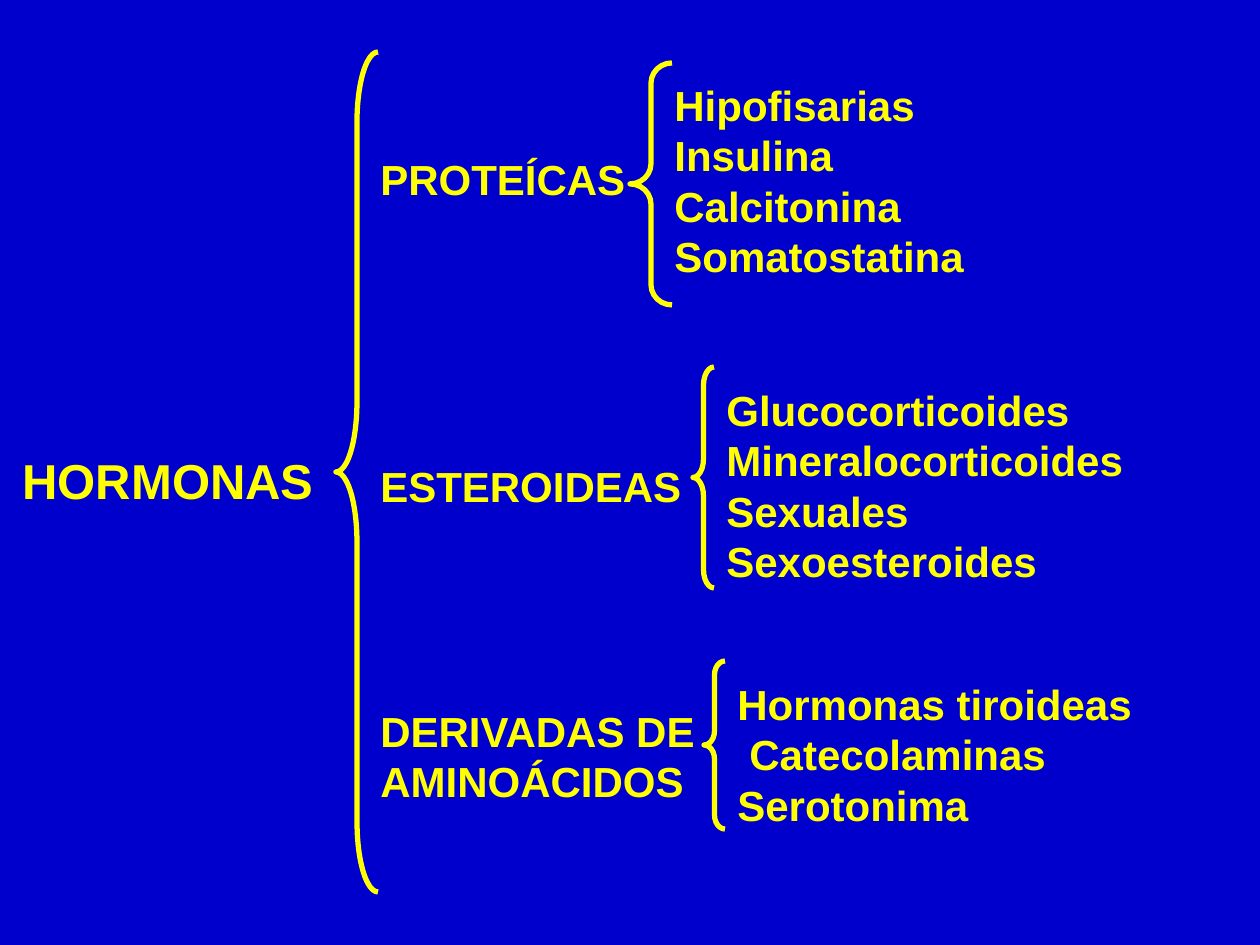
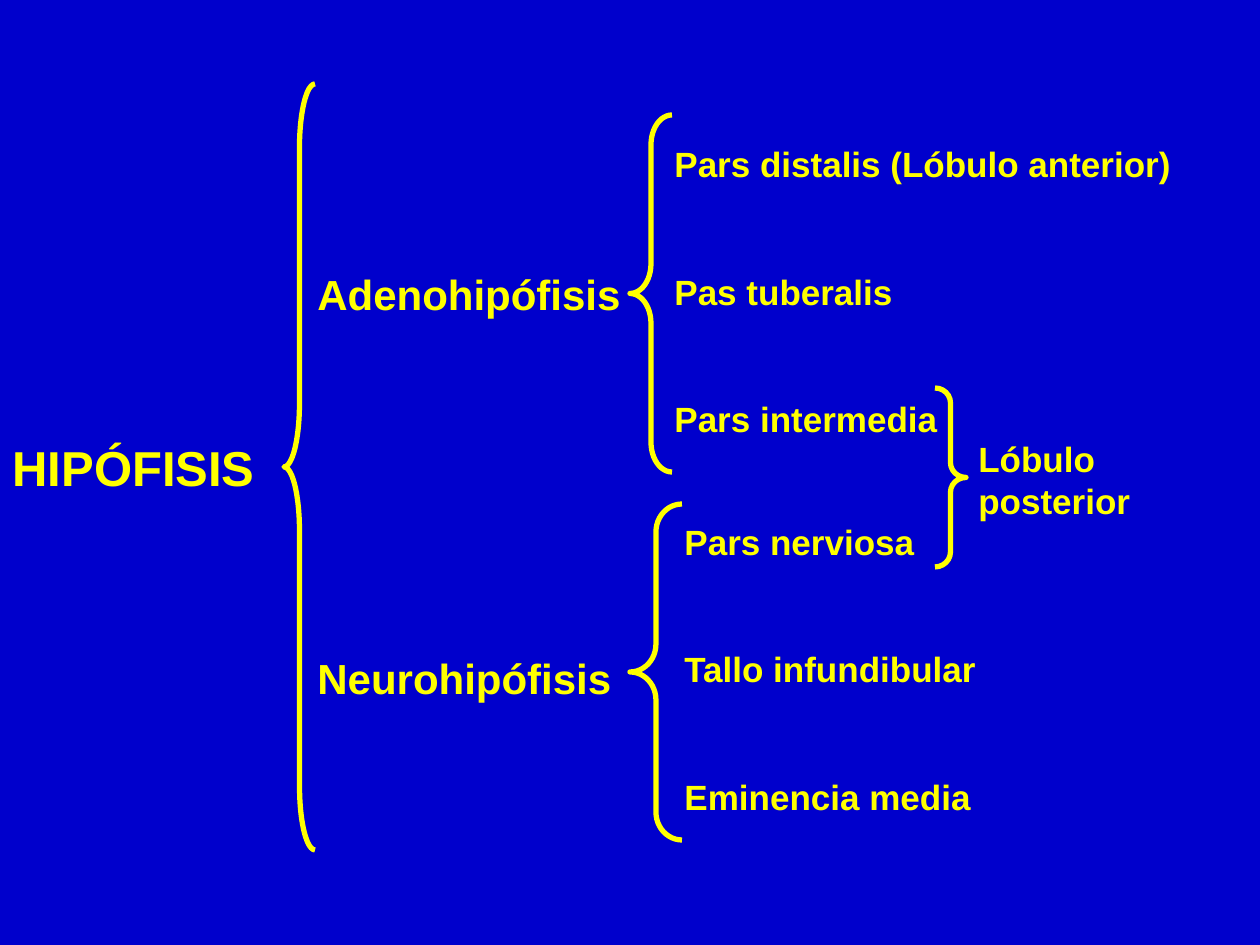
from pptx import Presentation
from pptx.dml.color import RGBColor
from pptx.enum import shapes, text
from pptx import util as u

BLUE = RGBColor(0x00, 0x00, 0xCC)
YELLOW = RGBColor(0xFF, 0xFF, 0x00)
FONT = "Arial"
ROOT, GROUP, ITEM = 28, 24, 20  # text sizes in points
LEADING = 1.2
KIND = shapes.MSO_SHAPE


def px(n):
    return u.Emu(round(n * 914400 / 126))


def place(shape, box):
    for name, value in zip(("left", "top", "width", "height"), box):
        setattr(shape, name, px(value))


def write(shape, lines, size, gap=0, shift=None):
    """Fill a shape with one paragraph per line; shift maps a line to its indent."""
    frame = shape.text_frame
    look = {"word_wrap": True, "auto_size": text.MSO_AUTO_SIZE.NONE,
            "vertical_anchor": text.MSO_ANCHOR.TOP}
    for name, value in look.items():
        setattr(frame, name, value)
    for i, line in enumerate(lines):
        para = frame.add_paragraph() if i else frame.paragraphs[0]
        para.text = line
        flow = {"alignment": text.PP_ALIGN.LEFT, "line_spacing": u.Pt(size * LEADING),
                "space_before": u.Pt(gap if i else 0)}
        for name, value in flow.items():
            setattr(para, name, value)
        if shift and line in shift:
            para._p.get_or_add_pPr().set("marL", str(px(shift[line])))
        for name, value in {"name": FONT, "size": u.Pt(size), "bold": True}.items():
            setattr(para.font, name, value)
        para.font.color.rgb = YELLOW


def label(slide, box, lines, size, **flow):
    write(slide.shapes.add_textbox(*map(px, box)), lines, size, **flow)


def brace(slide, box, kind=KIND.LEFT_BRACE):
    shape = slide.shapes.add_shape(kind, *map(px, box))
    shape.adjustments[0] = box[3] / 12 / box[2]  # each curve is 1/12 of the height
    shape.shadow.inherit = False
    shape.fill.background()
    shape.line.color.rgb = YELLOW
    shape.line.width = u.Pt(3)


def start(deck, name, box, arms):
    """Add a slide with its root term and the main brace."""
    slide = deck.slides.add_slide(deck.slide_layouts[5])
    place(slide.shapes.title, box)
    write(slide.shapes.title, [name], ROOT)
    brace(slide, arms)
    return slide


def branch(slide, name, spot, arms, lines, inset, size, **flow):
    """Add a group name, its brace and its list, set inset from the brace."""
    left, top, width, height = arms
    label(slide, (*spot, 368, 110), [name], GROUP)
    brace(slide, arms)
    dx, dy = inset
    label(slide, (left + dx, top + dy, 598, height - dy), lines, size, **flow)


def hormones(deck):
    slide = start(deck, "HORMONAS", (10, 444, 347, 72), (336, 52, 42, 840))
    groups = [
        ("PROTEÍCAS", 147, (630, 63, 42, 242), (32, 10),
         ["Hipofisarias", "Insulina", "Calcitonina", "Somatostatina"]),
        ("ESTEROIDEAS", 454, (693, 367, 21, 221), (21, 11),
         ["Glucocorticoides", "Mineralocorticoides", "Sexuales", "Sexoesteroides"]),
        ("DERIVADAS DE AMINOÁCIDOS", 699, (704, 661, 21, 168), (21, 11),
         ["Hormonas tiroideas", "Catecolaminas", "Serotonima"]),
    ]
    for name, top, arms, inset, lines in groups:
        branch(slide, name, (368, top), arms, lines, inset, GROUP,
               shift={"Catecolaminas": 12})


def pituitary(deck):
    slide = start(deck, "HIPÓFISIS", (0, 431, 315, 72), (284, 84, 31, 766))
    groups = [
        ("Adenohipófisis", 262, (630, 115, 42, 357), (32, 21),
         ["Pars distalis (Lóbulo anterior)", "Pas tuberalis", "Pars intermedia"]),
        ("Neurohipófisis", 646, (630, 504, 52, 336), (42, 10),
         ["Pars nerviosa", "Tallo infundibular", "Eminencia media"]),
    ]
    for name, top, arms, inset, lines in groups:
        branch(slide, name, (305, top), arms, lines, inset, ITEM, gap=49)
    # Posterior lobe, spanning both groups
    brace(slide, (935, 388, 31, 179), KIND.RIGHT_BRACE)
    label(slide, (966, 431, 290, 97), ["Lóbulo posterior"], ITEM)


def main():
    deck = Presentation()
    deck.slide_width, deck.slide_height = px(1260), px(945)
    fill = deck.slide_master.background.fill
    fill.solid()
    fill.fore_color.rgb = BLUE
    hormones(deck)
    pituitary(deck)
    deck.save("out.pptx")


if __name__ == "__main__":
    main()
